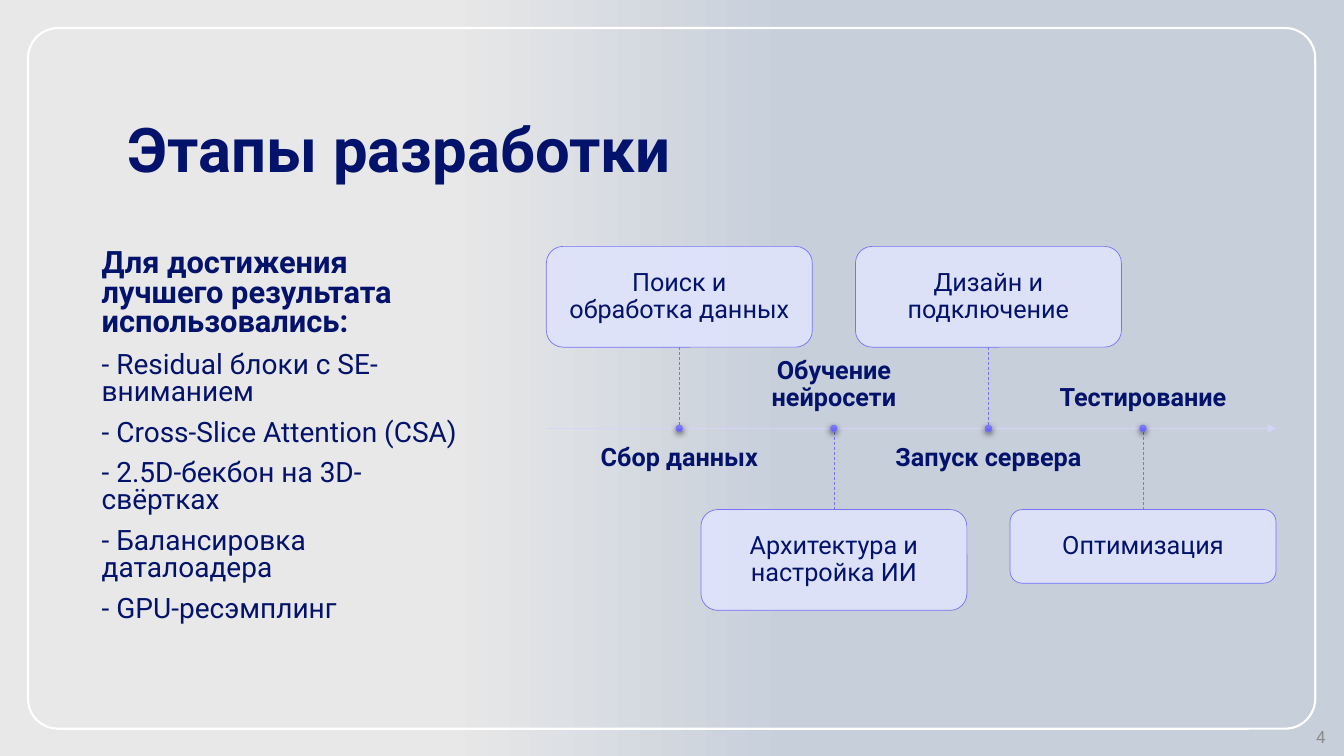
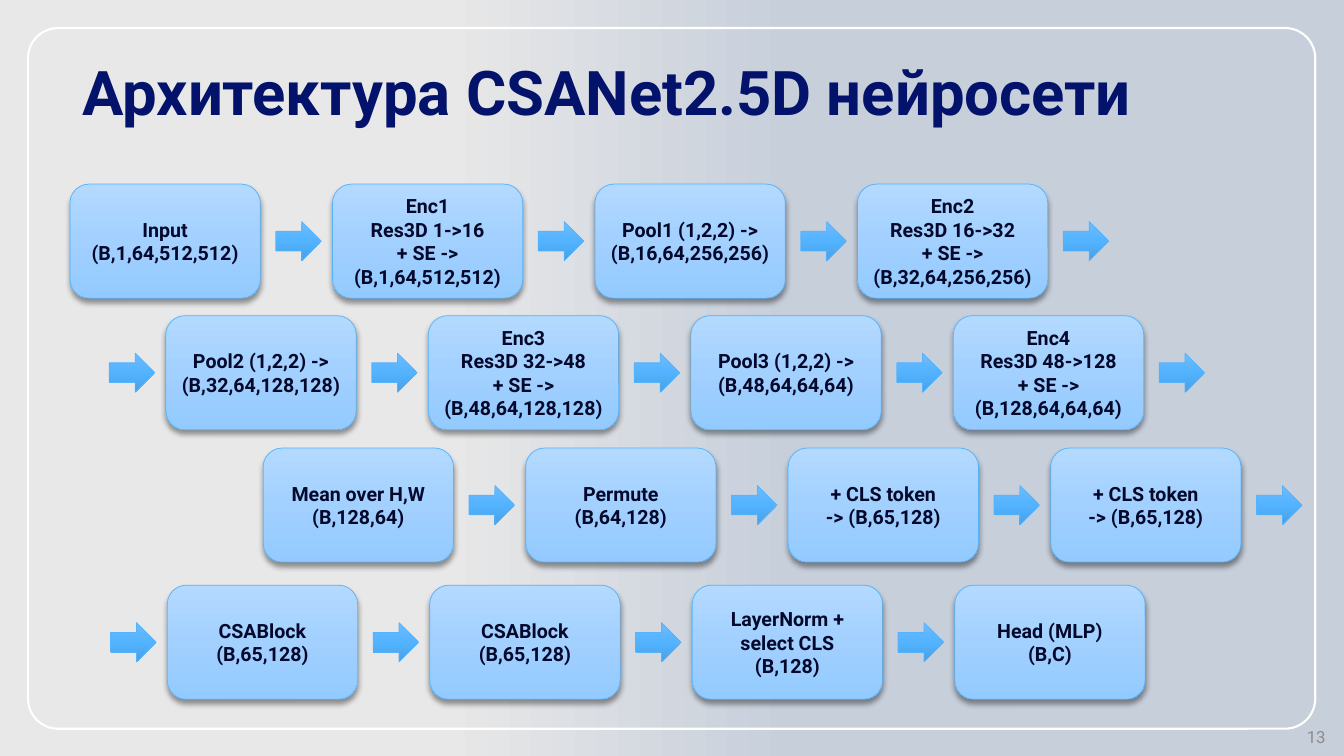
from dataclasses import dataclass
from typing import Any, Optional

from lxml import etree
from pptx import Presentation
from pptx import util as u
from pptx.dml import color as clr
from pptx.enum import dml, shapes, text
from pptx.oxml import ns

Stops = tuple[tuple[int, str, int], ...]  # position %, colour, opacity %


@dataclass(frozen=True)
class Theme:
    font: str = "Roboto"
    navy: str = "03126A"
    ink: str = "04092B"
    grey: str = "8C8C8C"
    white: str = "FFFFFF"
    violet: str = "7673F7"
    axis: str = "D6D5FC"
    card: str = "DFE3FC"
    blue: str = "55B3FD"
    backdrop: Stops = ((33, "E8E8E8", 100), (59, "C7CFDB", 65))
    dot: Stops = ((0, "8886FA", 100), (50, "706CFE", 100), (100, "605DE5", 100))
    block: Stops = ((0, "B3D9FF", 100), (50, "A2D0FF", 100), (100, "93CAFF", 100))
    arrow: Stops = ((0, "6EBCFF", 100), (50, "53B3FF", 100), (100, "47A0E5", 100))
    title_size: float = 44
    lead_size: float = 22
    body_size: float = 20
    stage_size: float = 18
    block_size: float = 14
    page_size: float = 12
    thin: float = 0.5


@dataclass(frozen=True)
class Shadow:
    opacity: int
    blur: float
    distance: float


@dataclass(frozen=True)
class Stage:
    label: str
    detail: str
    height: float = 72


@dataclass(frozen=True)
class BlockRow:
    left: float
    top: float
    first_arrow: int  # -1 puts an arrow before the first block
    last_arrow: int
    blocks: tuple[str, ...]


T = Theme()
ROUND = shapes.MSO_SHAPE.ROUNDED_RECTANGLE
CENTER, RIGHT = text.PP_ALIGN.CENTER, text.PP_ALIGN.RIGHT
TOP, MIDDLE, BOTTOM = (text.MSO_ANCHOR.TOP, text.MSO_ANCHOR.MIDDLE,
                       text.MSO_ANCHOR.BOTTOM)


# --- Formatting helpers ---
def sub(parent: Any, tag: str, **attrs: Any) -> Any:
    return etree.SubElement(parent, ns.qn(tag), {k: str(v) for k, v in attrs.items()})


def set_opacity(props: Any, percent: int) -> None:
    sub(props.find(".//" + ns.qn("a:srgbClr")), "a:alpha", val=percent * 1000)


def set_gradient(fill: Any, props: Any, stops: Stops, angle: int) -> None:
    fill.solid()
    grad = etree.Element(ns.qn("a:gradFill"), rotWithShape="1")
    gs_list = sub(grad, "a:gsLst")
    for position, color, opacity in stops:
        gs = sub(gs_list, "a:gs", pos=position * 1000)
        sub(gs, "a:srgbClr", val=color)
        if opacity < 100:
            set_opacity(gs, opacity)
    sub(grad, "a:lin", ang=angle * 60000, scaled=0)
    props.replace(props.find(ns.qn("a:solidFill")), grad)


def set_shadow(sp: Any, shadow: Shadow) -> None:
    effects = sp._element.spPr.find(ns.qn("a:effectLst"))
    outer = sub(effects, "a:outerShdw", blurRad=u.Pt(shadow.blur),
                dist=u.Pt(shadow.distance), dir=5400000, algn="ctr", rotWithShape=0)
    sub(outer, "a:srgbClr", val="000000")
    set_opacity(outer, shadow.opacity)


def set_line(line: Any, color: str, width: float) -> None:
    line.color.rgb = clr.RGBColor.from_string(color)
    line.width = u.Pt(width)


def setup_frame(tf: Any, anchor: Any, inset_x: float, inset_y: float) -> None:
    tf.word_wrap = True
    tf.vertical_anchor = anchor
    tf.margin_left = tf.margin_right = u.Pt(inset_x)
    tf.margin_top = tf.margin_bottom = u.Pt(inset_y)


def write_text(tf: Any, content: str, *, size: float, color: str = T.navy,
               bold: bool = False, align: Any = None, spacing: float = 1.0,
               before: float = 0) -> None:
    """Append one paragraph for each line of the content."""
    for line in content.split("\n"):
        first = not tf.text
        p = tf.paragraphs[0] if first else tf.add_paragraph()
        p.alignment = align
        p.line_spacing = spacing
        p.space_before = u.Pt(0 if first else before)
        r = p.add_run()
        r.text = line
        r.font.name, r.font.size, r.font.bold = T.font, u.Pt(size), bold
        r.font.color.rgb = clr.RGBColor.from_string(color)


# --- Drawing helpers ---
def add_text_box(slide: Any, left: float, top: float, width: float, height: float,
                 anchor: Any = TOP, inset_x: float = 7.2, inset_y: float = 3.6) -> Any:
    sp = slide.shapes.add_textbox(u.Pt(left), u.Pt(top), u.Pt(width), u.Pt(height))
    setup_frame(sp.text_frame, anchor, inset_x, inset_y)
    return sp.text_frame


def add_shape(slide: Any, kind: Any, left: float, top: float, width: float,
              height: float, *, line: str, line_width: float = T.thin,
              stops: Optional[Stops] = None, solid: Optional[str] = None,
              opacity: int = 100, shadow: Optional[Shadow] = None) -> Any:
    sp = slide.shapes.add_shape(kind, u.Pt(left), u.Pt(top), u.Pt(width), u.Pt(height))
    sp.shadow.inherit = False
    if stops:
        set_gradient(sp.fill, sp._element.spPr, stops, 90)
    elif solid:
        sp.fill.solid()
        sp.fill.fore_color.rgb = clr.RGBColor.from_string(solid)
        set_opacity(sp._element.spPr, opacity)
    else:
        sp.fill.background()
    set_line(sp.line, line, line_width)
    if shadow:
        set_shadow(sp, shadow)
    return sp


def add_line(slide: Any, x1: float, y1: float, x2: float, y2: float, color: str) -> Any:
    cx = slide.shapes.add_connector(shapes.MSO_CONNECTOR.STRAIGHT,
                                    u.Pt(x1), u.Pt(y1), u.Pt(x2), u.Pt(y2))
    set_line(cx.line, color, T.thin)
    sub(cx._element.spPr, "a:effectLst")
    return cx


def add_base_slide(prs: Any, title: str, left: float, bottom: float, page: int) -> Any:
    """Backdrop, frame, title and page number."""
    slide = prs.slides.add_slide(prs.slide_layouts[6])
    fill = slide.background.fill
    fill.solid()
    set_gradient(fill, slide._element.find(".//" + ns.qn("p:bgPr")), T.backdrop, 0)
    frame = add_shape(slide, ROUND, 20, 20, 919.5, 500.5, line=T.white, line_width=1.5)
    frame.adjustments[0] = 0.043
    tf = add_text_box(slide, left, bottom - 60, 827, 60, BOTTOM)
    write_text(tf, title, size=T.title_size, bold=True, spacing=0.9)
    tf = add_text_box(slide, 738, 517, 216, 18, MIDDLE)
    write_text(tf, str(page), size=T.page_size, color=T.grey, align=RIGHT)
    return slide


# --- Development stages ---
METHODS = """- Residual блоки с SE-вниманием
- Cross-Slice Attention (CSA)
- 2.5D-бекбон на 3D-свёртках
- Балансировка даталоадера
- GPU-ресэмплинг"""

STAGES = (
    Stage("Сбор данных", "Поиск и обработка данных"),
    Stage("Обучение нейросети", "Архитектура и настройка ИИ"),
    Stage("Запуск сервера", "Дизайн и подключение"),
    Stage("Тестирование", "Оптимизация", 52.6),
)
AXIS_LEFT, AXIS_RIGHT, AXIS_Y = 390.25, 911.5, 306
STAGE_PITCH, CARD_W, CARD_GAP = 110.4, 190, 58
LABEL_W, LABEL_H, LABEL_GAP = 167, 34.5, 11.5
DOT = 4.6


def add_stage(slide: Any, stage: Stage, index: int) -> None:
    x = AXIS_LEFT + CARD_W / 2 + index * STAGE_PITCH
    card_above = index % 2 == 0
    if card_above:
        card_top = AXIS_Y - CARD_GAP - stage.height
        label_top, anchor, side = AXIS_Y + LABEL_GAP, TOP, 2
    else:
        card_top = AXIS_Y + CARD_GAP
        label_top, anchor, side = AXIS_Y - LABEL_GAP - LABEL_H, BOTTOM, 0

    tf = add_text_box(slide, x - LABEL_W / 2, label_top, LABEL_W, LABEL_H, anchor, 0, 0)
    write_text(tf, stage.label, size=T.stage_size, bold=True, align=CENTER, spacing=0.9)

    card = add_shape(slide, ROUND, x - CARD_W / 2, card_top, CARD_W, stage.height,
                     line=T.violet, solid=T.card, opacity=90)
    setup_frame(card.text_frame, MIDDLE, 12, 12)
    write_text(card.text_frame, stage.detail, size=T.stage_size, align=CENTER,
               spacing=0.9)

    edge = card_top + stage.height if card_above else card_top
    link = add_line(slide, x, edge, x, AXIS_Y, T.violet)
    link.line.dash_style = dml.MSO_LINE.DASH
    link.begin_connect(card, side)
    add_shape(slide, shapes.MSO_SHAPE.OVAL, x - DOT / 2, AXIS_Y - DOT / 2, DOT, DOT,
              line=T.violet, stops=T.dot, shadow=Shadow(63, 4.5, 1.5))


def build_stages(prs: Any) -> None:
    slide = add_base_slide(prs, "Этапы разработки", 84.25, 136, 4)
    tf = add_text_box(slide, 65.5, 175, 275, 278)
    write_text(tf, "Для достижения лучшего результата использовались:",
               size=T.lead_size, bold=True, spacing=0.8)
    write_text(tf, METHODS, size=T.body_size, spacing=0.8, before=10)

    axis = add_line(slide, AXIS_LEFT, AXIS_Y, AXIS_RIGHT, AXIS_Y, T.axis)
    ln = axis._element.spPr.find(ns.qn("a:ln"))
    set_opacity(ln, 90)
    sub(ln, "a:tailEnd", type="triangle")
    for index, stage in enumerate(STAGES):
        add_stage(slide, stage, index)


# --- Network architecture ---
ROWS = (
    BlockRow(50, 131.5, 0, 3, (
        "Input\n(B,1,64,512,512)",
        "Enc1\nRes3D 1->16\n+ SE ->\n(B,1,64,512,512)",
        "Pool1 (1,2,2) -> (B,16,64,256,256)",
        "Enc2\nRes3D 16->32\n+ SE -> (B,32,64,256,256)")),
    BlockRow(118.5, 225.5, -1, 3, (
        "Pool2 (1,2,2) -> (B,32,64,128,128)",
        "Enc3\nRes3D 32->48\n+ SE -> (B,48,64,128,128)",
        "Pool3 (1,2,2) -> (B,48,64,64,64)",
        "Enc4\nRes3D 48->128\n+ SE -> (B,128,64,64,64)")),
    BlockRow(188, 320, 0, 3, (
        "Mean over H,W\n(B,128,64)",
        "Permute\n(B,64,128)",
        "+ CLS token\n-> (B,65,128)",
        "+ CLS token\n-> (B,65,128)")),
    BlockRow(119.5, 418, -1, 2, (
        "CSABlock\n(B,65,128)",
        "CSABlock\n(B,65,128)",
        "LayerNorm + select CLS\n(B,128)",
        "Head (MLP)\n(B,C)")),
)
BLOCK_W, BLOCK_H, BLOCK_PITCH = 136, 81.5, 187.5
ARROW_W, ARROW_H, ARROW_GAP = 32.5, 28, 11


def add_block_row(slide: Any, row: BlockRow) -> None:
    for col, content in enumerate(row.blocks):
        sp = add_shape(slide, ROUND, row.left + col * BLOCK_PITCH, row.top, BLOCK_W,
                       BLOCK_H, line=T.blue, stops=T.block, shadow=Shadow(40, 4, 3))
        setup_frame(sp.text_frame, MIDDLE, 6, 3.6)
        write_text(sp.text_frame, content, size=T.block_size, color=T.ink, bold=True,
                   align=CENTER)
    for col in range(row.first_arrow, row.last_arrow + 1):
        add_shape(slide, shapes.MSO_SHAPE.RIGHT_ARROW,
                  row.left + col * BLOCK_PITCH + BLOCK_W + ARROW_GAP,
                  row.top + (BLOCK_H - ARROW_H) / 2, ARROW_W, ARROW_H,
                  line=T.blue, stops=T.arrow)


def build_architecture(prs: Any) -> None:
    slide = add_base_slide(prs, "Архитектура CSANet2.5D нейросети", 51.75, 95.75, 13)
    for row in ROWS:
        add_block_row(slide, row)


def main() -> None:
    prs = Presentation()
    prs.slide_width, prs.slide_height = u.Pt(960), u.Pt(540)
    build_stages(prs)
    build_architecture(prs)
    prs.save("out.pptx")


if __name__ == "__main__":
    main()
